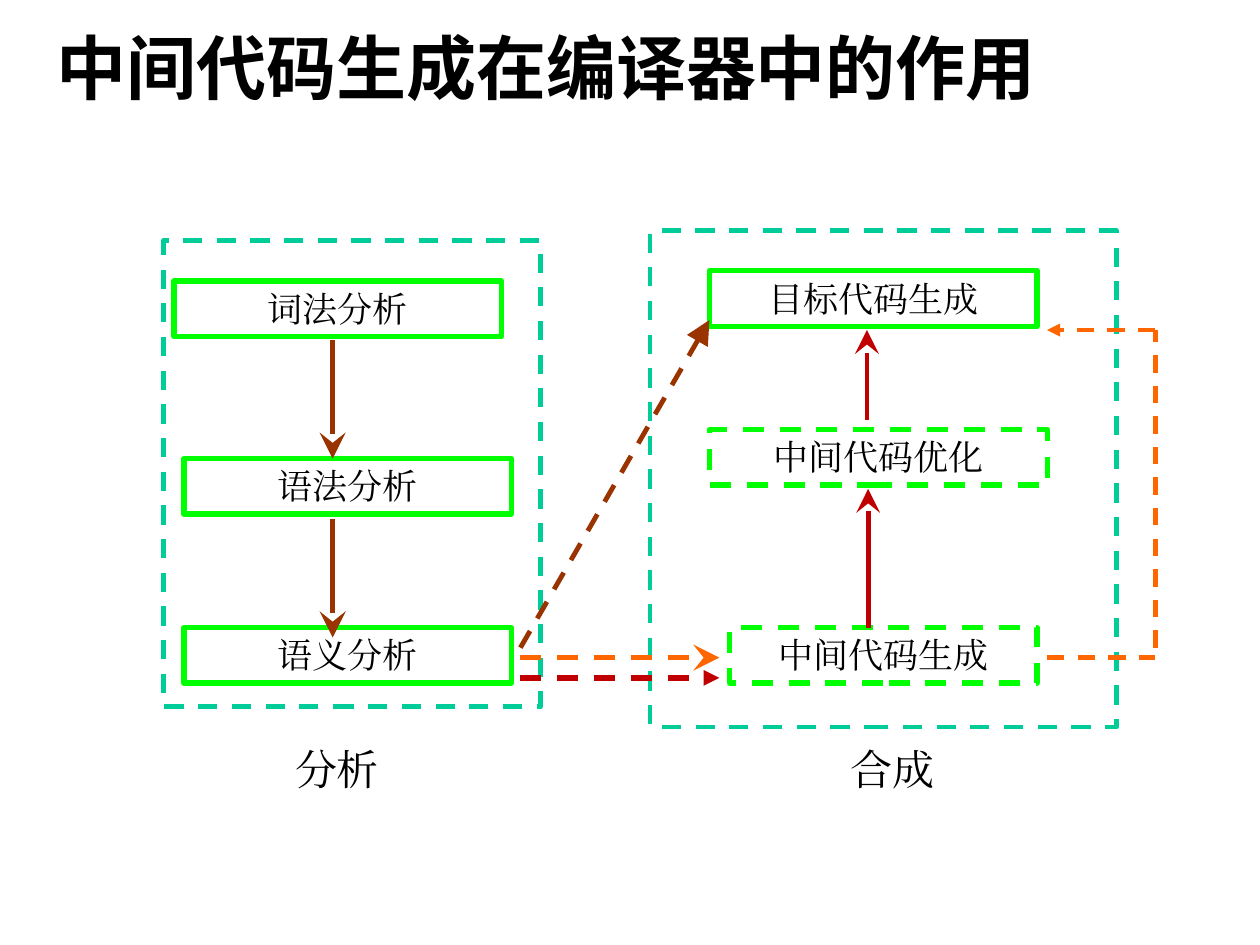
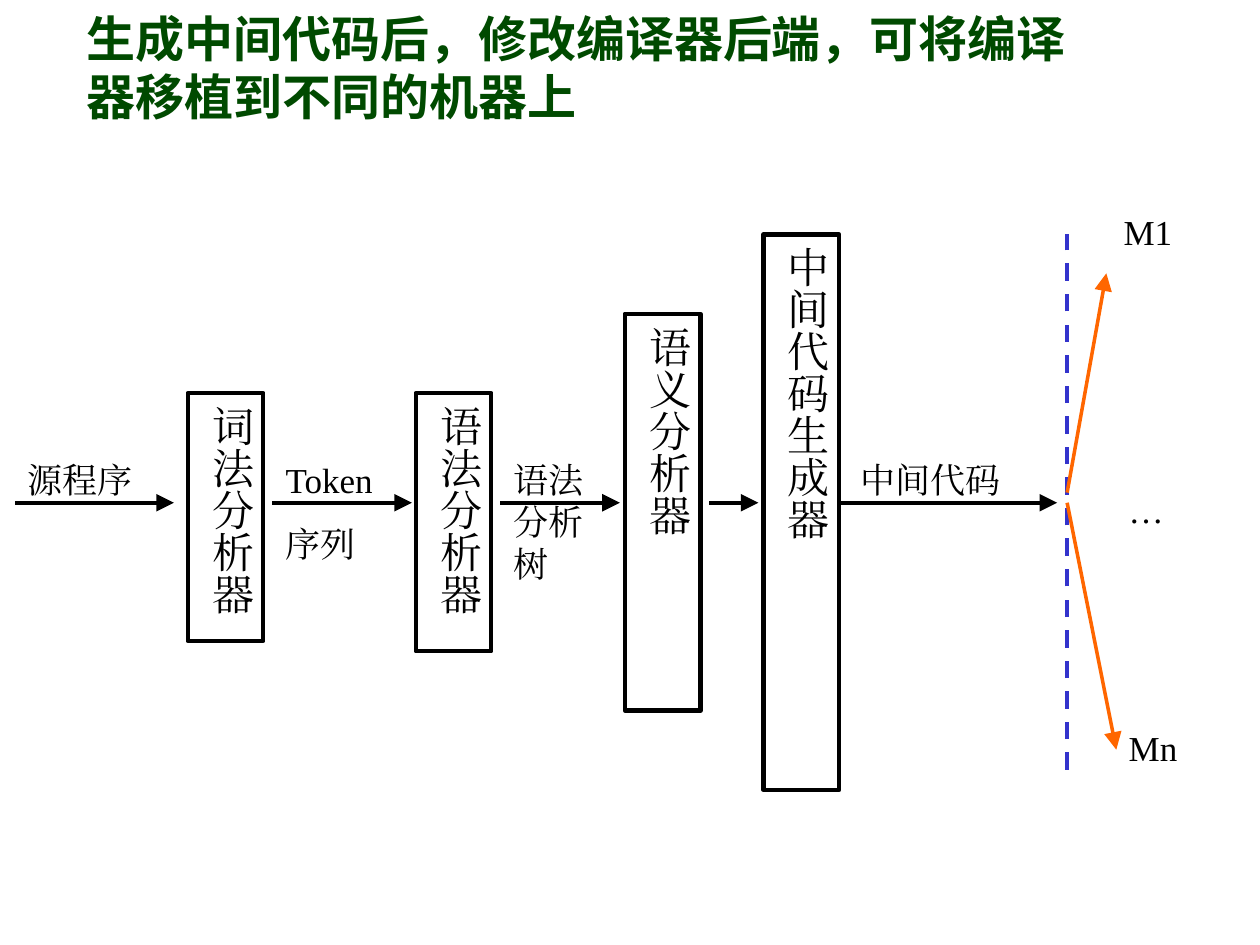
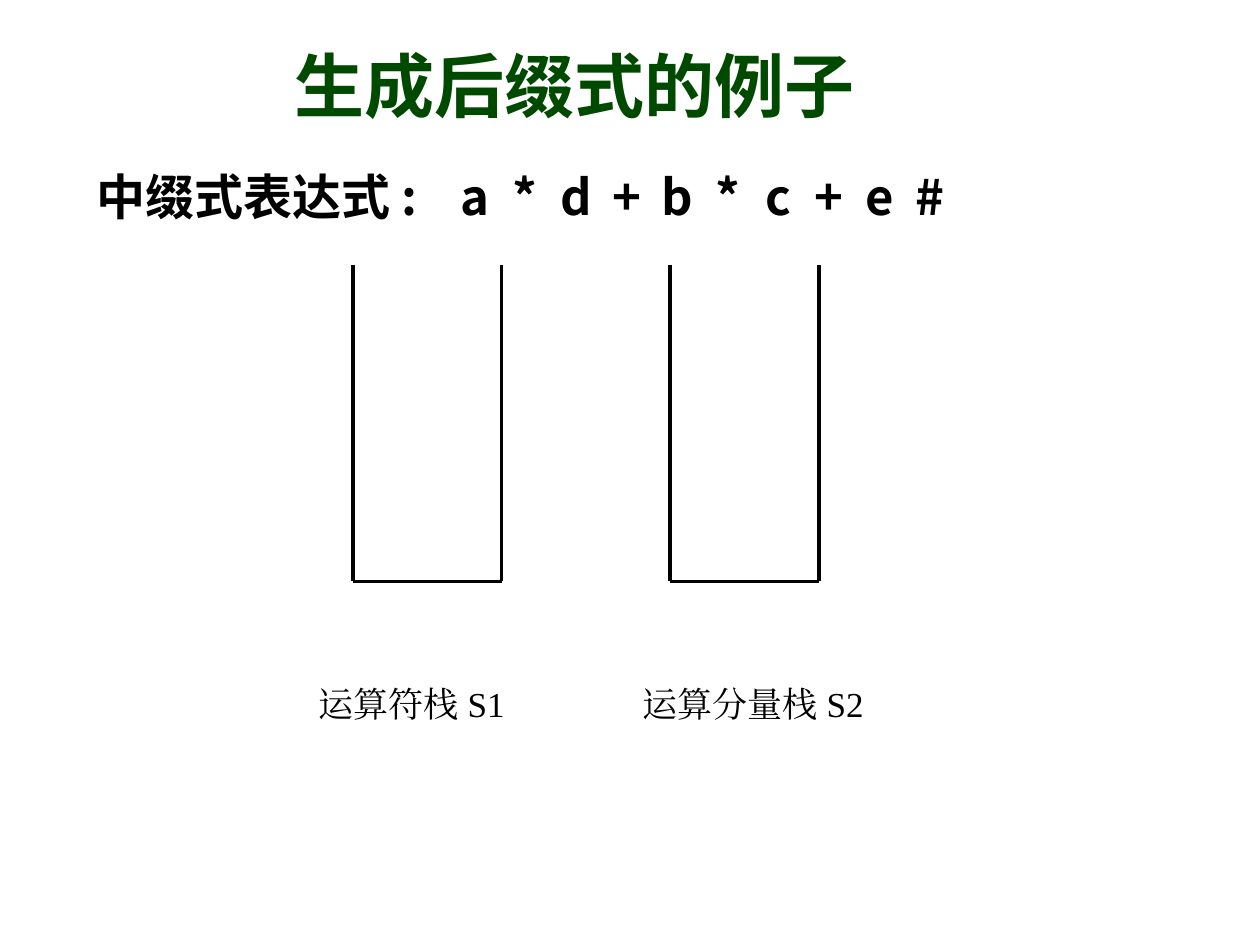
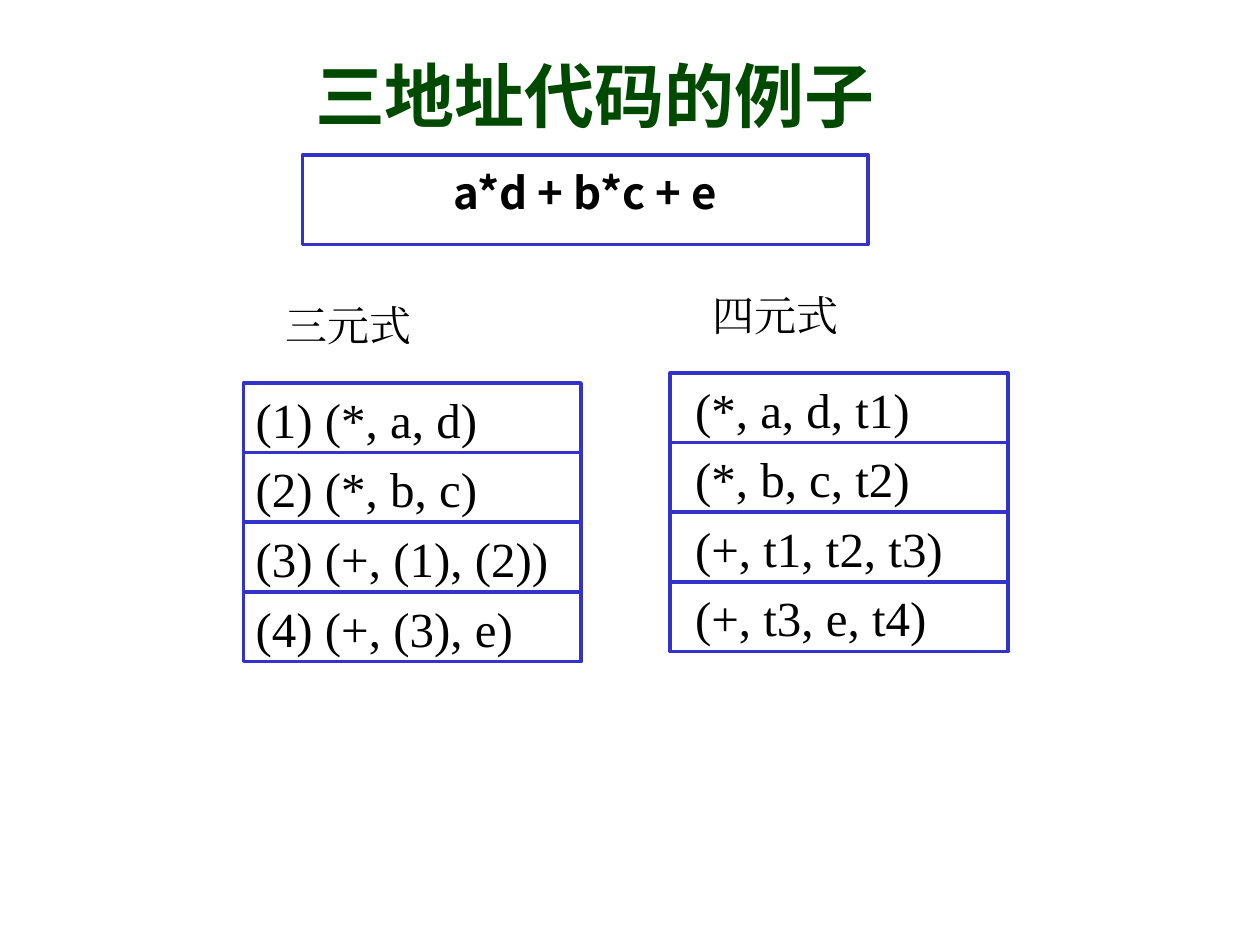
from pptx import Presentation
from pptx import util as u
from pptx.dml.color import RGBColor
from pptx.enum import dml, shapes, text
from pptx.oxml import ns, xmlchemy

Pt = u.Pt
COLORS = {"black": "000000", "title": "004A00", "lime": "00FF00", "teal": "00CC99",
          "orange": "FF6600", "brown": "993300", "red": "C00000", "blue": "3333CC"}
SERIF, SANS = "Times New Roman", "Noto Sans CJK KR"
LEFT, CENTER = text.PP_ALIGN.LEFT, text.PP_ALIGN.CENTER


def add_xml(parent, tag, **attrs):
    """Append an element with the given attributes."""
    el = xmlchemy.OxmlElement(tag)
    for name, value in attrs.items():
        el.set(name, str(value))
    parent.append(el)
    return el


def write(tf, content, size=20, font=SERIF, color="black", bold=False, align=LEFT,
          leading=1.2, gap=0, insets=(7.2, 3.6, 7.2, 3.6), tabs=(),
          anchor=text.MSO_ANCHOR.TOP):
    """Fill a text frame, one paragraph per line of content."""
    tf.word_wrap = True
    tf.auto_size = text.MSO_AUTO_SIZE.NONE
    tf.vertical_anchor = anchor
    tf.margin_left, tf.margin_top, tf.margin_right, tf.margin_bottom = map(Pt, insets)
    for i, line in enumerate(content.split("\n")):
        p = tf.add_paragraph() if i else tf.paragraphs[0]
        p.alignment = align
        p.space_before = Pt(gap if i else 0)
        if leading:
            p.line_spacing = Pt(round(size * leading, 1))
        if tabs:
            stops = add_xml(p._p.get_or_add_pPr(), "a:tabLst")
            for pos in tabs:
                add_xml(stops, "a:tab", pos=Pt(pos), algn="ctr")
        r = p.add_run()
        r.text = line
        r.font.size, r.font.name, r.font.bold = Pt(size), font, bold
        r.font.color.rgb = RGBColor.from_string(COLORS[color])
        add_xml(r._r.get_or_add_rPr(), "a:ea", typeface=font)


class Deck:
    def __init__(self):
        self.prs = Presentation()
        self.prs.slide_width, self.prs.slide_height = Pt(720), Pt(540)
        self.s = None

    def slide(self, title, x, y, w, size=40, color="title", leading=None):
        self.s = self.prs.slides.add_slide(self.prs.slide_layouts[5])
        sp = self.s.shapes.title
        sp.left, sp.top, sp.width, sp.height = map(Pt, (x, y, w, 57.6))
        write(sp.text_frame, title, size=size, font=SANS, color=color, bold=True,
              leading=leading, anchor=text.MSO_ANCHOR.MIDDLE)

    def stroke(self, line, color, width, dash):
        line.color.rgb = RGBColor.from_string(COLORS[color])
        line.width = Pt(width)
        if dash:
            line.dash_style = dml.MSO_LINE.DASH

    def box(self, x, y, w, h, content="", line="black", width=2.0, dash=False,
            vertical=False, **fmt):
        sp = self.s.shapes.add_shape(shapes.MSO_SHAPE.RECTANGLE, *map(Pt, (x, y, w, h)))
        sp.shadow.inherit = False
        sp.fill.background()
        self.stroke(sp.line, line, width, dash)
        if content:
            write(sp.text_frame, content, **fmt)
        if vertical:
            sp.text_frame._txBody.find(ns.qn("a:bodyPr")).set("vert", "eaVert")

    def label(self, x, y, w, h, content, **fmt):
        sp = self.s.shapes.add_textbox(*map(Pt, (x, y, w, h)))
        write(sp.text_frame, content, **fmt)

    def line(self, x1, y1, x2, y2, color="black", width=2.0, dash=False,
             head=None, head_size="lg"):
        c = self.s.shapes.add_connector(shapes.MSO_CONNECTOR.STRAIGHT,
                                        *map(Pt, (x1, y1, x2, y2)))
        self.stroke(c.line, color, width, dash)
        if head:
            add_xml(c.line._get_or_add_ln(), "a:tailEnd", type=head,
                    w=head_size, len=head_size)
        add_xml(c._element.spPr, "a:effectLst")


def compiler_roles(d):
    d.slide("中间代码生成在编译器中的作用", 25.2, 9.4, 588.2, color="black")

    # Phases
    for name, x, y, w, dash in [
            ("词法分析", 99.4, 160.6, 187.2, False),
            ("语法分析", 105.1, 262.1, 187.2, False),
            ("语义分析", 105.1, 358.6, 187.2, False),
            ("中间代码优化", 405.4, 245.5, 193, True),
            ("中间代码生成", 416.9, 358.6, 175.7, True),
            ("目标代码生成", 405.4, 154.8, 187.2, False)]:
        d.box(x, y, w, 31.7, name, line="lime", width=3, dash=dash, align=CENTER)

    # Analysis and synthesis frames
    for frame, name, x in [((93.6, 137.5, 215.3, 266.4), "分析", 82.1),
                           ((371.5, 131.8, 266.4, 283.7), "合成", 399.6)]:
        d.box(*frame, line="teal", width=2.75, dash=True)
        d.label(x, 421.2, 221, 36, name, size=24, align=CENTER)

    # Steps within each frame
    for y in (194.4, 296.6):
        d.line(190.1, y, 190.1, y + 67.7, "brown", 3, head="stealth")
    d.line(496.1, 358.6, 496.1, 279.4, "red", 2.75, head="stealth")
    d.line(495.4, 239.8, 495.4, 188.6, "red", 2.75, head="stealth")

    # Paths from analysis to synthesis
    d.line(297.4, 375.8, 411.1, 375.8, "orange", 3, True, "stealth")
    d.line(297.4, 370.1, 405.4, 182.9, "brown", 2.75, True, "triangle")
    d.line(297.4, 387.4, 411.1, 387.4, "red", 3, True, "triangle", "med")

    # Bypass of the optimiser
    d.line(598.3, 375.8, 660.2, 375.8, "orange", 2.5, True)
    d.line(660.2, 370.1, 660.2, 188.6, "orange", 2.5, True)
    d.line(660.2, 188.6, 598.3, 188.6, "orange", 2.5, True, "triangle", "med")


def retargeting(d):
    d.slide("生成中间代码后，修改编译器后端，可将编译器移植到不同的机器上",
            42.5, 9.4, 583.9, size=28, leading=1.2)
    axis, border = 287.3, 609.8

    # Compiler stages
    for name, x, y, h in [("词法分析器", 107.3, 224.6, 141.8),
                          ("语法分析器", 237.6, 224.6, 147.6),
                          ("语义分析器", 357.1, 179.3, 226.8),
                          ("中间代码生成器", 436.3, 133.9, 317.5)]:
        d.box(x, y, 43.2, h, name, width=2.5, vertical=True, size=24, align=CENTER,
              insets=(3.6, 7.2, 3.6, 7.2))

    # Data passed between the stages
    for x1, x2 in [(8.6, 99.4), (155.5, 235.4), (285.8, 354.2), (405.4, 433.4),
                   (478.8, 604.1)]:
        d.line(x1, axis, x2, axis, head="triangle")
    for name, x, w, h in [("源程序", 8.6, 96.5, 31), ("Token\n序列", 156.2, 96.5, 67.7),
                          ("语法分析树", 286.6, 73.4, 79.2),
                          ("中间代码", 484.6, 136.1, 31)]:
        d.label(x, 258.5, w, h, name, gap=12.5)

    # Target machines
    d.line(border, 439.9, border, 133.9, "blue", 2.5, True)
    d.line(border, 281.5, 632.2, 156.2, "orange", head="triangle")
    d.line(border, axis, 637.9, 428.4, "orange", head="triangle")
    for name, x, y in [("M1", 635, 116.6), ("…", 637.9, 275.8), ("Mn", 637.9, 411.8)]:
        d.label(x, y, 48.2, 31, name)


def postfix_example(d):
    d.slide("生成后缀式的例子", 161.3, 19.4, 469.4)
    tokens = "a*d+b*c+e#"
    d.label(48.2, 88.6, 589.7, 51.1, "\t".join(["中缀式表达式 :", *tokens]), size=28,
            font=SANS, bold=True, leading=1.3,
            tabs=[216 + 28.9 * i for i in range(len(tokens))])

    # Open-topped stacks
    top, depth, width = 151.2, 181, 85
    for x, name, label_x in [(201.6, "运算符栈 S1", 175), (383, "运算分量栈 S2", 360)]:
        bottom, right = top + depth, x + width
        d.line(x, top, x, bottom)
        d.line(x, bottom, right, bottom)
        d.line(right, top, right, bottom)
        d.label(label_x, 386.6, 147.6, 31, name)


def three_address_example(d):
    d.slide("三地址代码的例子", 172.8, 25.2, 469.4)
    d.box(172.8, 88.6, 323.3, 51.1, "a*d + b*c + e", line="blue", size=25, font=SANS,
          bold=True, align=CENTER, leading=1.3)

    # Triples and quadruples
    row_h = 39.8
    for name, x, y, indent, rows in [
            ("三元式", 139, 218.9, 7.2,
             ["(1) (*, a, d)", "(2) (*, b, c)", "(3) (+, (1), (2))", "(4) (+, (3), e)"]),
            ("四元式", 383, 213.1, 14.2,
             ["(*, a, d, t1)", "(*, b, c, t2)", "(+, t1, t2, t3)", "(+, t3, e, t4)"])]:
        d.label(x + 17, y - 51.1, 141.8, 36, name, size=24)
        for i, row in enumerate(rows):
            d.box(x, y + i * row_h, 193, row_h, row, line="blue", size=28,
                  insets=(indent, 3.6, 7.2, 3.6))


def main():
    d = Deck()
    for build in (compiler_roles, retargeting, postfix_example, three_address_example):
        build(d)
    d.prs.save("out.pptx")


if __name__ == "__main__":
    main()
